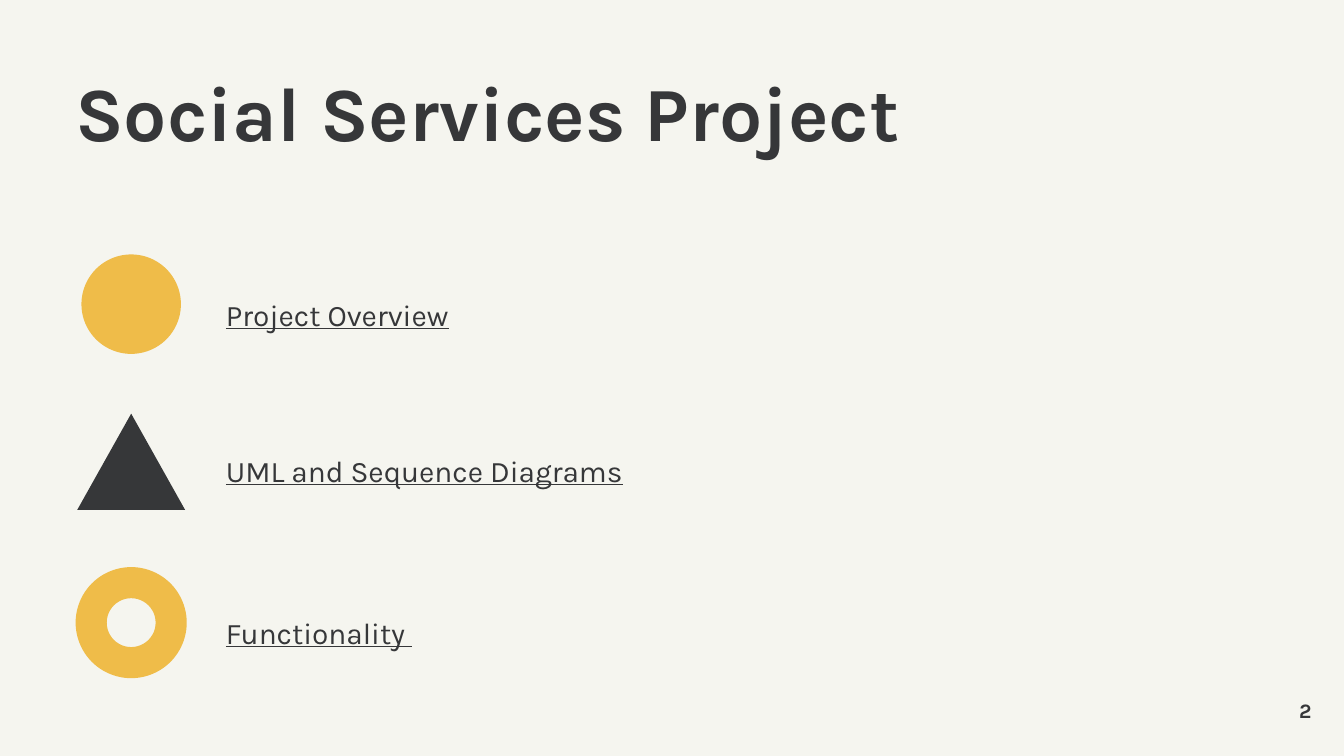
from dataclasses import dataclass

from pptx import Presentation
from pptx.dml.color import RGBColor
from pptx.enum.shapes import MSO_SHAPE
from pptx.enum.text import MSO_ANCHOR, MSO_AUTO_SIZE, PP_ALIGN
from pptx.util import Cm, Pt


@dataclass(frozen=True)
class Theme:
    font: str = "Karla"
    paper: RGBColor = RGBColor(0xF5, 0xF5, 0xEF)
    ink: RGBColor = RGBColor(0x36, 0x37, 0x39)
    accent: RGBColor = RGBColor(0xEF, 0xBC, 0x49)
    title_size: Pt = Pt(41)
    topic_size: Pt = Pt(16)
    number_size: Pt = Pt(11)


THEME = Theme()
ICON_CENTER = 2.48
TOPIC_LEFT = 4.27

# Topic, its text top, and its icon: preset, top, width, height, colour, adjustment
TOPICS = [
    ("Project Overview", 5.33,
     (MSO_SHAPE.OVAL, 4.81, 1.88, 1.88, THEME.accent, None)),
    ("UML and Sequence Diagrams", 8.28,
     (MSO_SHAPE.ISOSCELES_TRIANGLE, 7.82, 2.04, 1.82, THEME.ink, 0.5)),
    ("Functionality ", 11.35,
     (MSO_SHAPE.DONUT, 10.72, 2.1, 2.1, THEME.accent, 0.28)),
]


def apply_format(target, values):
    for name, value in values.items():
        setattr(target, name, value)


def write_text(box, text, size, frame_format=None, para_format=None, font_format=None):
    frame = box.text_frame
    apply_format(frame, {
        "margin_left": 0, "margin_top": 0, "margin_right": 0, "margin_bottom": 0,
        "word_wrap": True, "vertical_anchor": MSO_ANCHOR.TOP,
        "auto_size": MSO_AUTO_SIZE.NONE, **(frame_format or {}),
    })
    para = frame.paragraphs[0]
    apply_format(para, {"alignment": PP_ALIGN.LEFT, **(para_format or {})})
    span = para.add_run()
    span.text = text
    apply_format(span.font, {"name": THEME.font, "size": size, **(font_format or {})})
    span.font.color.rgb = THEME.ink


def add_title(page, text):
    title = page.shapes.title
    apply_format(title, {"left": Cm(1.42), "top": Cm(1.42),
                         "width": Cm(18.01), "height": Cm(2.01)})
    write_text(title, text, THEME.title_size,
               para_format={"line_spacing": 0.9}, font_format={"bold": True})


def add_icon(page, preset, top, width, height, color, adjustment):
    icon = page.shapes.add_shape(preset, Cm(ICON_CENTER - width / 2), Cm(top),
                                 Cm(width), Cm(height))
    icon.shadow.inherit = False
    icon.fill.solid()
    icon.fill.fore_color.rgb = color
    icon.line.fill.background()
    if adjustment is not None:
        icon.adjustments[0] = adjustment


def add_topic(page, text, top):
    box = page.shapes.add_textbox(Cm(TOPIC_LEFT), Cm(top), Cm(10.9), Cm(0.69))
    write_text(box, text, THEME.topic_size,
               frame_format={"auto_size": MSO_AUTO_SIZE.SHAPE_TO_FIT_TEXT},
               para_format={"line_spacing": 1.4}, font_format={"underline": True})


def add_page_number(page, text):
    box = page.shapes.add_textbox(Cm(23.27), Cm(13.18), Cm(1.52), Cm(0.51))
    write_text(box, text, THEME.number_size,
               frame_format={"vertical_anchor": MSO_ANCHOR.MIDDLE},
               para_format={"alignment": PP_ALIGN.RIGHT}, font_format={"bold": True})


def main():
    deck = Presentation()
    deck.slide_width, deck.slide_height = Cm(25.4), Cm(14.29)

    # Page and heading
    page = deck.slides.add_slide(deck.slide_layouts[5])
    page.background.fill.solid()
    page.background.fill.fore_color.rgb = THEME.paper
    add_title(page, "Social Services Project")

    # Agenda
    for text, text_top, icon in TOPICS:
        add_icon(page, *icon)
        add_topic(page, text, text_top)

    # Footer
    add_page_number(page, "2")
    deck.save("out.pptx")


if __name__ == "__main__":
    main()
